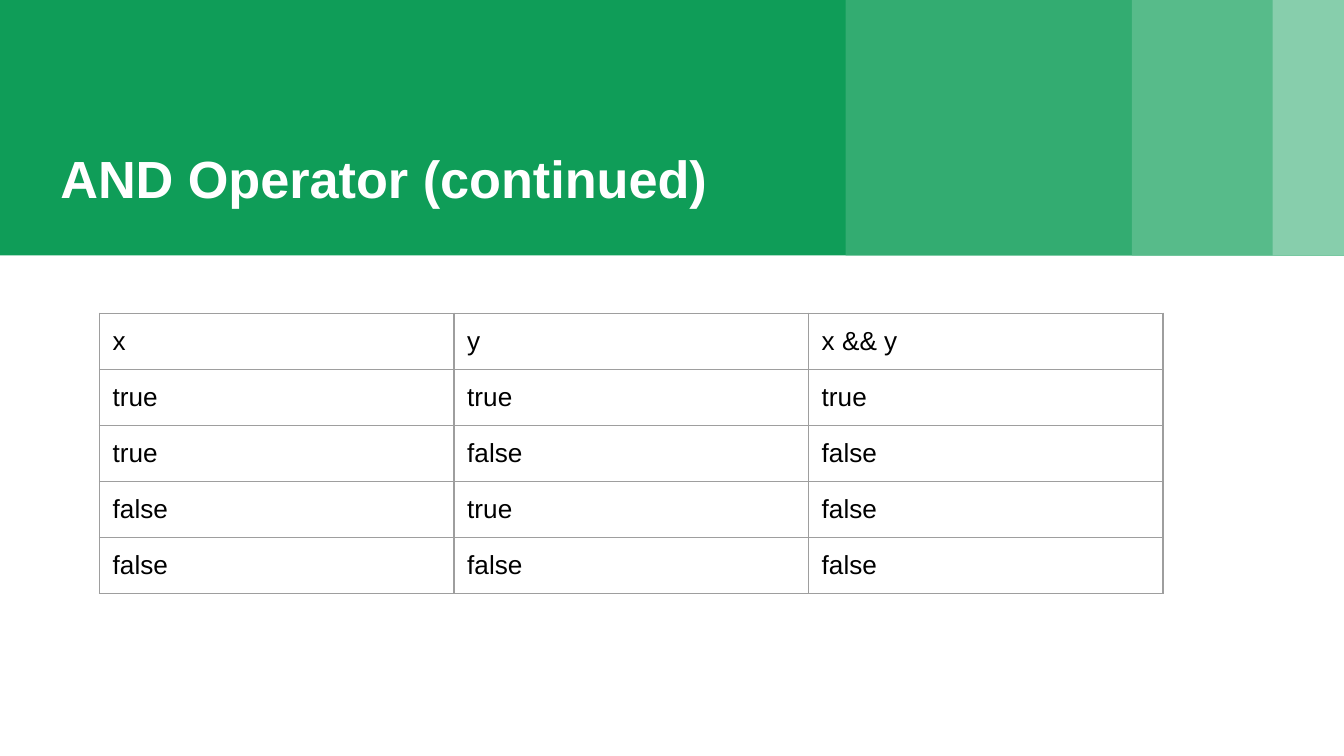
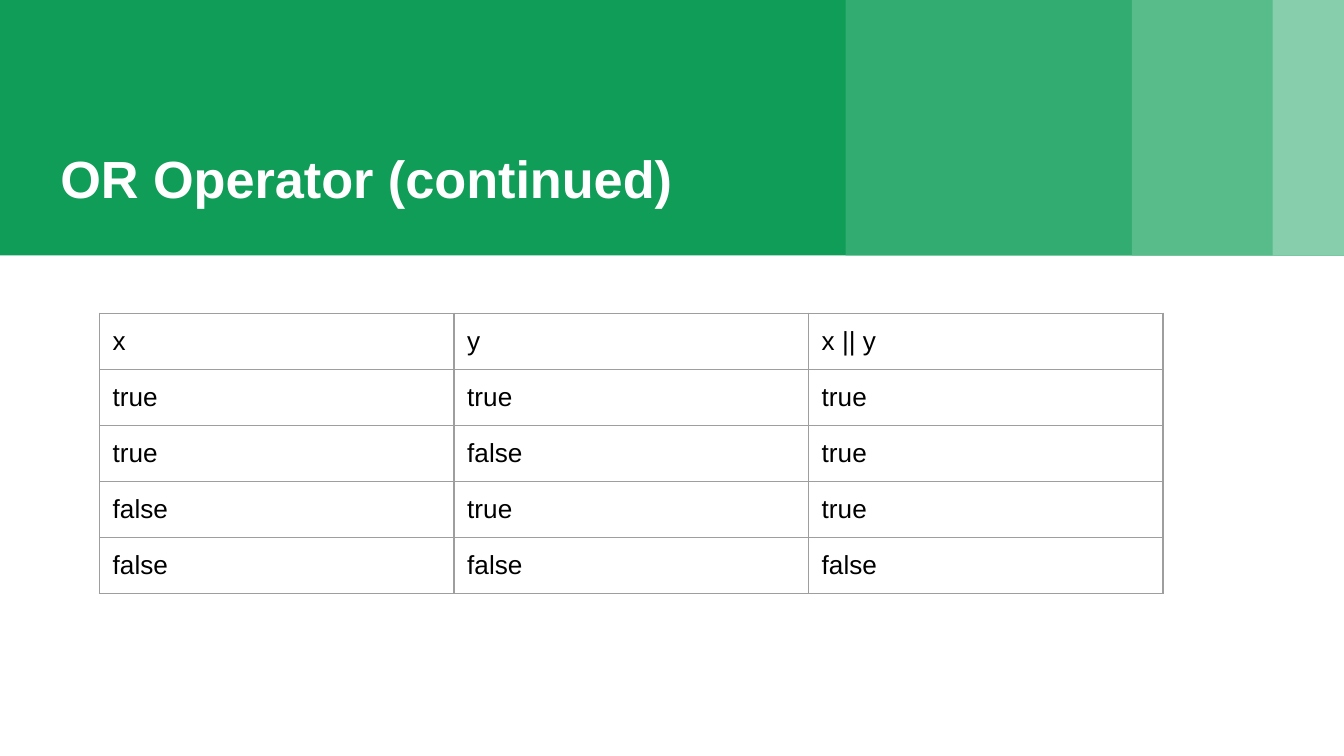
from dataclasses import dataclass
from itertools import product

from lxml import etree
from pptx import Presentation
from pptx.dml.color import RGBColor
from pptx.enum.shapes import MSO_SHAPE
from pptx.enum.text import MSO_ANCHOR, MSO_AUTO_SIZE, PP_ALIGN
from pptx.oxml.ns import qn
from pptx.util import Cm, Pt

RECTANGLE = MSO_SHAPE.RECTANGLE
TOP, BOTTOM = MSO_ANCHOR.TOP, MSO_ANCHOR.BOTTOM
LEFT = PP_ALIGN.LEFT
NO_FIT = MSO_AUTO_SIZE.NONE
TITLE_ONLY = 5


@dataclass(frozen=True)
class Theme:
    font: str = "Arial"
    title_size: float = 28
    cell_size: float = 14
    title_color: str = "FFFFFF"
    cell_color: str = "000000"
    border_color: str = "9E9E9E"
    border_width: float = 0.75
    inset: float = 0.25
    # Left edge of each header band, in cm, and its colour
    bands: tuple = ((0, "0F9D58"), (15.98, "33AC71"),
                    (21.39, "57BB8A"), (24.05, "87CEAC"))


@dataclass(frozen=True)
class Box:
    """A region of the slide, in cm."""
    left: float
    top: float
    width: float
    height: float


THEME = Theme()
SLIDE = Box(0, 0, 25.4, 14.29)
HEADER = Box(0, 0, SLIDE.width, 4.83)
TABLE = Box(1.88, 5.92, 20.1, 5.3)


def add_text(frame, text, size, color, bold=False):
    para = frame.paragraphs[0]
    para.alignment = LEFT
    span = para.add_run()
    span.text = text
    span.font.name = THEME.font
    span.font.size = Pt(size)
    span.font.bold = bold
    span.font.color.rgb = RGBColor.from_string(color)


def set_insets(holder):
    """Give a text frame or table cell the same inset on all sides."""
    holder.margin_left = holder.margin_right = Cm(THEME.inset)
    holder.margin_top = holder.margin_bottom = Cm(THEME.inset)


def add_bands(page, box):
    """Draw the header bands and move them to the layout the slides share."""
    layout_tree = page.slide_layout.shapes.element
    for left, color in THEME.bands:
        # The main band runs behind the others; each next one covers the rest
        band = page.shapes.add_shape(
            RECTANGLE, Cm(box.left + left), Cm(box.top),
            Cm(box.width - left), Cm(box.height))
        band.shadow.inherit = False
        band.fill.solid()
        band.fill.fore_color.rgb = RGBColor.from_string(color)
        band.line.fill.background()
        layout_tree.append(band.element)


def place_title(page, box, text):
    title = page.shapes.title
    title.left, title.top = Cm(box.left + 0.89), Cm(box.top + 0.4)
    title.width, title.height = Cm(14.58), Cm(box.height - 1.02)
    frame = title.text_frame
    frame.word_wrap = True
    frame.auto_size = NO_FIT
    frame.vertical_anchor = BOTTOM
    set_insets(frame)
    add_text(frame, text, THEME.title_size, THEME.title_color, bold=True)


def add_borders(cell):
    # Borders must come before the fill in the cell properties
    properties = cell._tc.get_or_add_tcPr()
    for position, side in enumerate(("lnL", "lnR", "lnT", "lnB")):
        line = etree.Element(qn(f"a:{side}"), w=str(Pt(THEME.border_width)))
        fill = etree.SubElement(line, qn("a:solidFill"))
        etree.SubElement(fill, qn("a:srgbClr"), val=THEME.border_color)
        properties.insert(position, line)


def add_truth_table(page, box, rows):
    table = page.shapes.add_table(
        len(rows), len(rows[0]), Cm(box.left), Cm(box.top),
        Cm(box.width), Cm(box.height)).table
    table.first_row = table.horz_banding = False
    for column in table.columns:
        column.width = Cm(box.width / len(rows[0]))
    for row_index, row in enumerate(rows):
        table.rows[row_index].height = Cm(box.height / len(rows))
        for column_index, text in enumerate(row):
            cell = table.cell(row_index, column_index)
            cell.fill.background()
            cell.vertical_anchor = TOP
            set_insets(cell)
            add_borders(cell)
            add_text(cell.text_frame, text, THEME.cell_size, THEME.cell_color)


def truth_rows(symbol, combine):
    """Header row, then the operator applied to every pair of values."""
    rows = [("x", "y", f"x {symbol} y")]
    for x, y in product((True, False), repeat=2):
        rows.append([str(value).lower() for value in (x, y, combine((x, y)))])
    return rows


def add_operator_slide(deck, name, symbol, combine):
    page = deck.slides.add_slide(deck.slide_layouts[TITLE_ONLY])
    place_title(page, HEADER, f"{name} Operator (continued)")
    add_truth_table(page, TABLE, truth_rows(symbol, combine))
    return page


deck = Presentation()
deck.slide_width, deck.slide_height = Cm(SLIDE.width), Cm(SLIDE.height)
first_page = add_operator_slide(deck, "AND", "&&", all)
add_operator_slide(deck, "OR", "||", any)
add_bands(first_page, HEADER)
deck.save("out.pptx")
